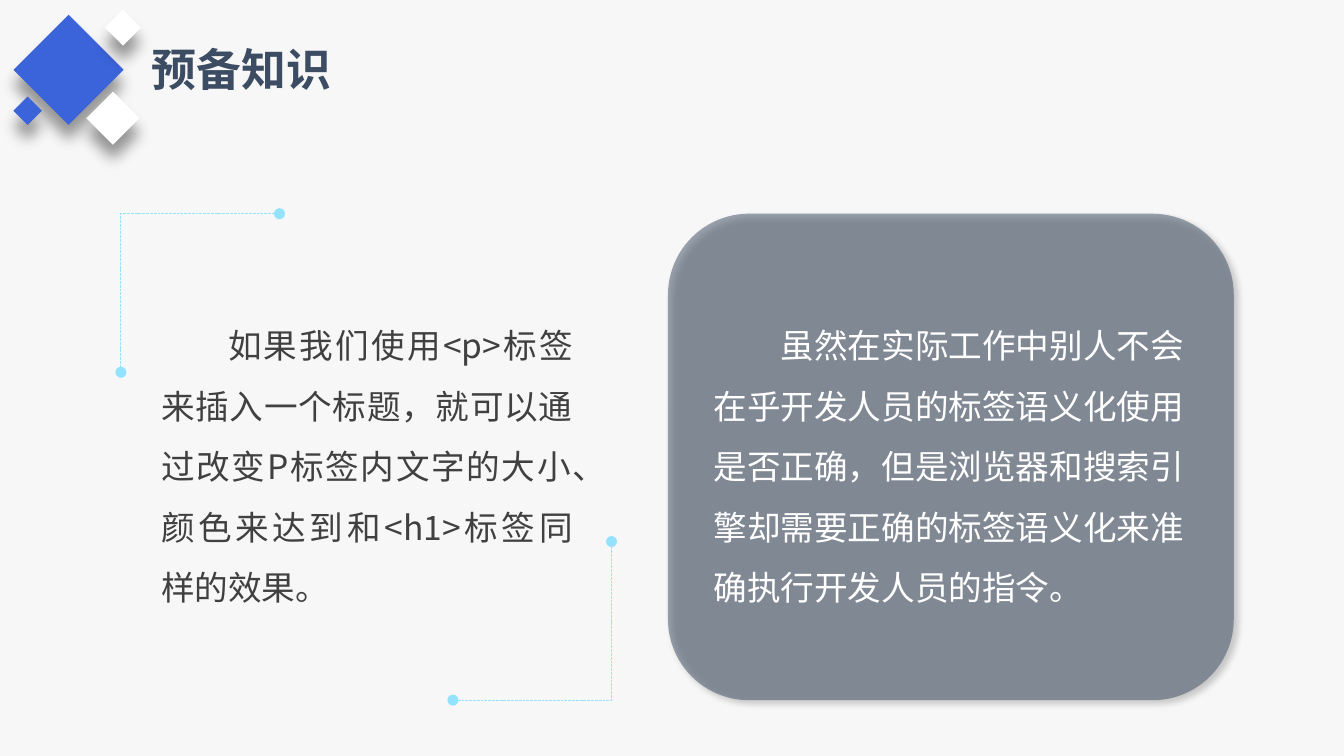
import pptx
import pptx.dml.color
import pptx.enum.dml
import pptx.enum.shapes
import pptx.enum.text
import pptx.oxml
import pptx.oxml.ns
import pptx.util
from pptx.util import Inches

FONT = "Noto Sans CJK SC"
BLUE, WHITE, SLATE, GREY, CYAN = "3B64DA", "FFFFFF", "3C4D63", "404040", "93E3FF"
KIND = pptx.enum.shapes.MSO_SHAPE
ALIGN = pptx.enum.text.PP_ALIGN
ANCHOR = pptx.enum.text.MSO_ANCHOR
FIT = pptx.enum.text.MSO_AUTO_SIZE


def color(code):
    """Turn a hex string into a colour."""
    return pptx.dml.color.RGBColor.from_string(code)


def node(xml):
    """Parse a fragment in the drawing namespace."""
    head, tail = xml.split(" ", 1)
    return pptx.oxml.parse_xml(f"{head} {pptx.oxml.ns.nsdecls('a')} {tail}")


def shade(shape, blur, dist, angle):
    """Give a shape a soft black outer shadow, sized in points."""
    shape.shadow.inherit = False
    effects = shape._element.spPr.find(pptx.oxml.ns.qn("a:effectLst"))
    effects.append(node(
        f'<a:outerShdw blurRad="{pptx.util.Pt(blur)}" dist="{pptx.util.Pt(dist)}" '
        f'dir="{angle * 60000}" algn="ctr" rotWithShape="0">'
        '<a:srgbClr val="000000"><a:alpha val="40000"/></a:srgbClr></a:outerShdw>'))


def block(slide, kind, box, fill):
    """Add a filled shape without an outline."""
    shape = slide.shapes.add_shape(kind, *map(Inches, box))
    shape.fill.solid()
    shape.fill.fore_color.rgb = color(fill)
    shape.line.fill.background()
    return shape


def gem(slide, left, top, size, fill):
    """Add a square turned on its corner."""
    shape = block(slide, KIND.RECTANGLE, (left, top, size, size), fill)
    shape.rotation = 45
    shade(shape, 8, 8, 90)


def panel(slide, box):
    """Add the half-clear rounded panel."""
    shape = block(slide, KIND.ROUNDED_RECTANGLE, box, SLATE)
    tint = shape._element.spPr.find(".//" + pptx.oxml.ns.qn("a:srgbClr"))
    tint.append(node('<a:alpha val="50000"/>'))
    shade(shape, 4, 3, 45)


def corner(slide, start, end):
    """Add a dotted elbow that runs across, then up or down."""
    link = slide.shapes.add_connector(
        pptx.enum.shapes.MSO_CONNECTOR.ELBOW, *map(Inches, start + end))
    link.line.color.rgb = color(CYAN)
    link.line.width = pptx.util.Pt(0.5)
    link.line.dash_style = pptx.enum.dml.MSO_LINE.SQUARE_DOT
    line = link.line._get_or_add_ln()
    line.append(node('<a:headEnd type="oval"/>'))
    line.append(node('<a:tailEnd type="oval"/>'))
    props = link._element.spPr
    props.append(node("<a:effectLst />"))
    guides = props.find(".//" + pptx.oxml.ns.qn("a:avLst"))
    guides.append(node('<a:gd name="adj1" fmla="val 100000"/>'))


def write(slide, text, box, size=18, ink=GREY, bold=False, wrap=True, indent=0,
          space=1, after=0, align=ALIGN.LEFT, anchor=ANCHOR.TOP, fit=FIT.NONE):
    """Add a text box with one paragraph."""
    frame = slide.shapes.add_textbox(*map(Inches, box)).text_frame
    frame.word_wrap = wrap
    frame.auto_size = fit
    frame.vertical_anchor = anchor
    para = frame.paragraphs[0]
    para.alignment = align
    para.line_spacing = space
    para.space_after = pptx.util.Pt(after)
    if indent:
        props = para._p.get_or_add_pPr()
        props.set("marL", "0")
        props.set("indent", str(Inches(indent)))
    run = para.add_run()
    run.text = text
    run.font.name = FONT
    run.font.size = pptx.util.Pt(size)
    run.font.bold = bold
    run.font.color.rgb = color(ink)
    run._r.get_or_add_rPr().append(node(f'<a:ea typeface="{FONT}"/>'))


def main():
    """Build and save the slide."""
    deck = pptx.Presentation()
    deck.slide_width = Inches(10)
    deck.slide_height = deck.slide_width * 9 // 16
    slide = deck.slides.add_slide(deck.slide_layouts[6])
    slide.background.fill.solid()
    slide.background.fill.fore_color.rgb = color("F7F7F7")

    write(slide, "预备知识", (1.03, 0.26, 1.54, 0.5), size=24, ink=SLATE,
          bold=True, wrap=False, fit=FIT.SHAPE_TO_FIT_TEXT)
    for left, top, size, fill in ((0.22, 0.23, 0.58, BLUE), (0.7, 0.74, 0.28, WHITE),
                                  (0.82, 0.11, 0.19, WHITE), (0.13, 0.75, 0.15, BLUE)):
        gem(slide, left, top, size, fill)

    write(slide, "如果我们使用<p>标签来插入一个标题，就可以通过改变P标签内文字的大小、"
          "颜色来达到和<h1>标签同样的效果。", (1.1, 1.73, 3.26, 3.33), indent=0.5,
          space=1.5, after=12, align=ALIGN.JUSTIFY, anchor=ANCHOR.MIDDLE)
    corner(slide, (3.37, 5.21), (4.55, 4.03))
    corner(slide, (2.08, 1.59), (0.9, 2.77))

    panel(slide, (4.97, 1.59, 4.21, 3.62))
    write(slide, "虽然在实际工作中别人不会在乎开发人员的标签语义化使用是否正确，"
          "但是浏览器和搜索引擎却需要正确的标签语义化来准确执行开发人员的指令。",
          (5.21, 2.22, 3.72, 2.37), ink=WHITE, indent=0.5, space=1.5,
          fit=FIT.SHAPE_TO_FIT_TEXT)
    deck.save("out.pptx")


if __name__ == "__main__":
    main()
